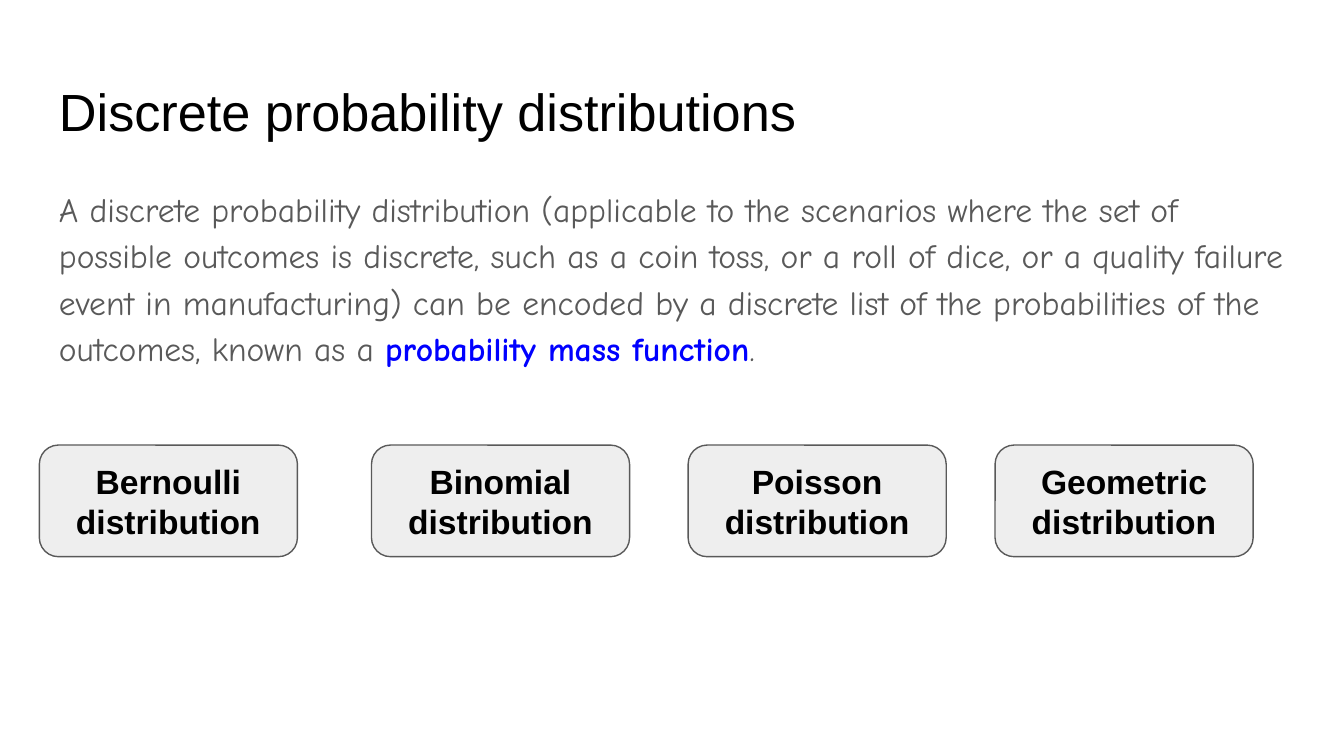
"""Build a slide that introduces four discrete probability distributions."""
from typing import Any, NamedTuple

from pptx import Presentation
from pptx.dml.color import RGBColor
from pptx.enum.shapes import MSO_SHAPE
from pptx.enum.text import MSO_ANCHOR, PP_ALIGN
from pptx.util import Inches, Length, Pt

SLIDE_WIDTH = Inches(10)
SLIDE_HEIGHT = Length(SLIDE_WIDTH * 9 // 16)
COLORS = {
    "ink": "000000",
    "muted": "595959",
    "accent": "0000FF",
    "card": "EEEEEE",
    "background": "FFFFFF",
}
FRAME_FORMAT = {
    "word_wrap": True,
    "margin_left": Inches(0.1),
    "margin_top": Inches(0.1),
    "margin_right": Inches(0.1),
    "margin_bottom": Inches(0.1),
}
TITLE_FONT = {"name": "Arial", "size": Pt(28), "bold": False}
BODY_FONT = {"name": "Comic Neue", "size": Pt(18), "bold": False}
CARD_FONT = {"name": "Arial", "size": Pt(18), "bold": True}
BODY_PARAGRAPH = {"line_spacing": 1.15, "space_after": Pt(16)}
CARD_PARAGRAPH = {"alignment": PP_ALIGN.CENTER}


class Area(NamedTuple):
    """Position and size in percent of the slide."""

    left: float
    top: float
    width: float
    height: float

    def lengths(self) -> tuple[Length, ...]:
        """Return the area as slide lengths."""
        sides = (SLIDE_WIDTH, SLIDE_HEIGHT, SLIDE_WIDTH, SLIDE_HEIGHT)
        return tuple(Length(round(side * share / 100)) for side, share in zip(sides, self))


class TextRun(NamedTuple):
    """A piece of text with its colour and font format."""

    text: str
    color: str
    font: dict[str, Any]


class Card(NamedTuple):
    """A distribution card and its left edge in percent."""

    name: str
    left: float


TITLE_AREA = Area(3.41, 8.65, 93.18, 11.13)
BODY_AREA = Area(3.41, 22.41, 93.18, 29)
CARD_TOP, CARD_WIDTH, CARD_HEIGHT = 58.88, 19.2, 14.76
CARDS = (
    Card("Bernoulli", 2.93),
    Card("Binomial", 27.64),
    Card("Poisson", 51.2),
    Card("Geometric", 74.04),
)
TITLE = (TextRun("Discrete probability distributions", "ink", TITLE_FONT),)
BODY = (
    TextRun(
        "A discrete probability distribution (applicable to the scenarios where the set of "
        "possible outcomes is discrete, such as a coin toss, or a roll of dice, or a quality "
        "failure event in manufacturing) can be encoded by a discrete list of the "
        "probabilities of the outcomes, known as a ",
        "muted",
        BODY_FONT,
    ),
    TextRun("probability mass function", "accent", BODY_FONT | {"bold": True}),
    TextRun(".", "muted", BODY_FONT),
)


def color_of(name: str) -> RGBColor:
    """Look up a named colour."""
    return RGBColor.from_string(COLORS[name])


def apply_format(target: Any, values: dict[str, Any]) -> None:
    """Set each attribute of the target from the format values."""
    for attribute, value in values.items():
        setattr(target, attribute, value)


def write_text(shape: Any, runs: tuple[TextRun, ...], paragraph_format: dict[str, Any],
               anchor: MSO_ANCHOR = MSO_ANCHOR.TOP) -> None:
    """Write one paragraph of formatted runs into a shape."""
    frame = shape.text_frame
    apply_format(frame, FRAME_FORMAT | {"vertical_anchor": anchor})
    paragraph = frame.paragraphs[0]
    apply_format(paragraph, paragraph_format)
    for text_run in runs:
        run = paragraph.add_run()
        run.text = text_run.text
        apply_format(run.font, text_run.font)
        run.font.color.rgb = color_of(text_run.color)


def add_text(slide: Any, area: Area, runs: tuple[TextRun, ...],
             paragraph_format: dict[str, Any]) -> None:
    """Add a text box."""
    write_text(slide.shapes.add_textbox(*area.lengths()), runs, paragraph_format)


def add_card(slide: Any, card: Card) -> None:
    """Add a rounded card that names a distribution."""
    area = Area(card.left, CARD_TOP, CARD_WIDTH, CARD_HEIGHT)
    shape = slide.shapes.add_shape(MSO_SHAPE.ROUNDED_RECTANGLE, *area.lengths())
    shape.shadow.inherit = False
    shape.adjustments[0] = 0.17
    shape.fill.solid()
    shape.fill.fore_color.rgb = color_of("card")
    shape.line.color.rgb = color_of("muted")
    shape.line.width = Pt(0.75)
    label = TextRun(f"{card.name} distribution", "ink", CARD_FONT)
    write_text(shape, (label,), CARD_PARAGRAPH, MSO_ANCHOR.MIDDLE)


def main() -> None:
    """Create and save the presentation."""
    presentation = Presentation()
    apply_format(presentation, {"slide_width": SLIDE_WIDTH, "slide_height": SLIDE_HEIGHT})
    slide = presentation.slides.add_slide(presentation.slide_layouts[6])
    slide.background.fill.solid()
    slide.background.fill.fore_color.rgb = color_of("background")
    add_text(slide, TITLE_AREA, TITLE, {})
    add_text(slide, BODY_AREA, BODY, BODY_PARAGRAPH)
    for card in CARDS:
        add_card(slide, card)
    presentation.save("out.pptx")


if __name__ == "__main__":
    main()
